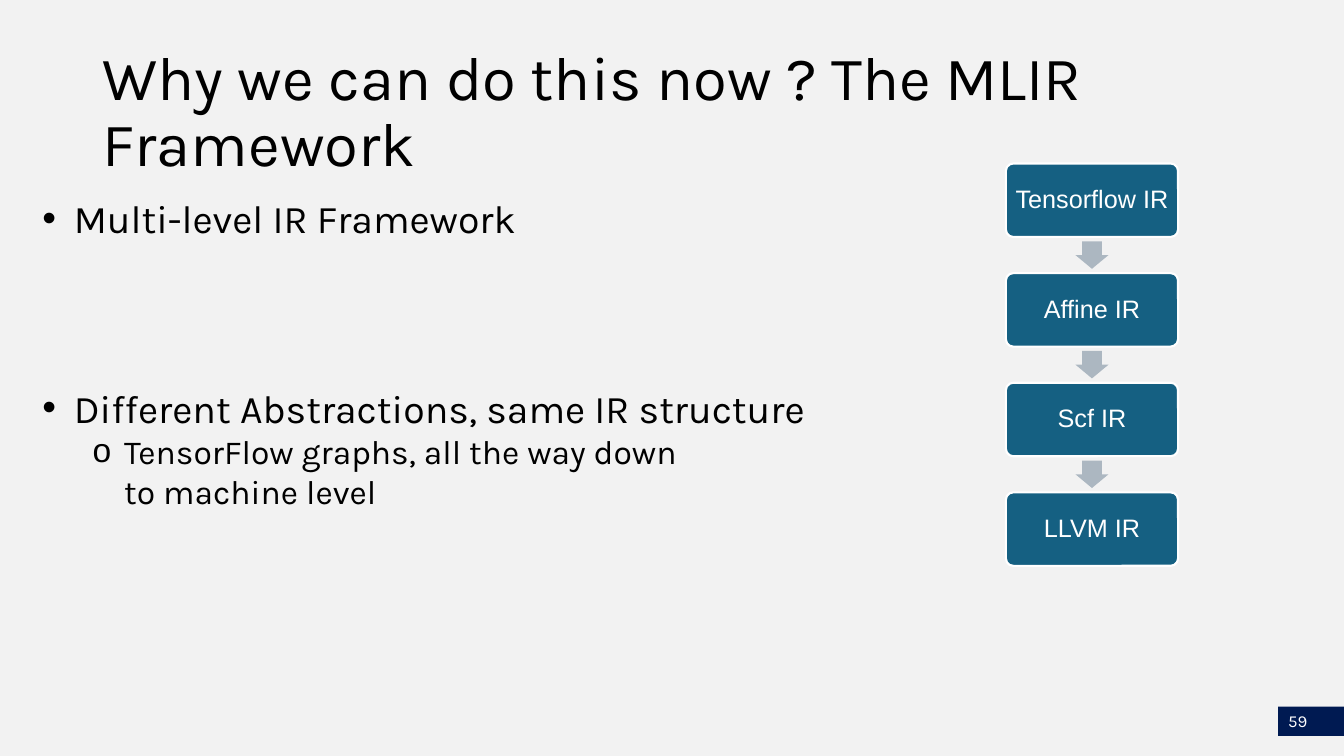
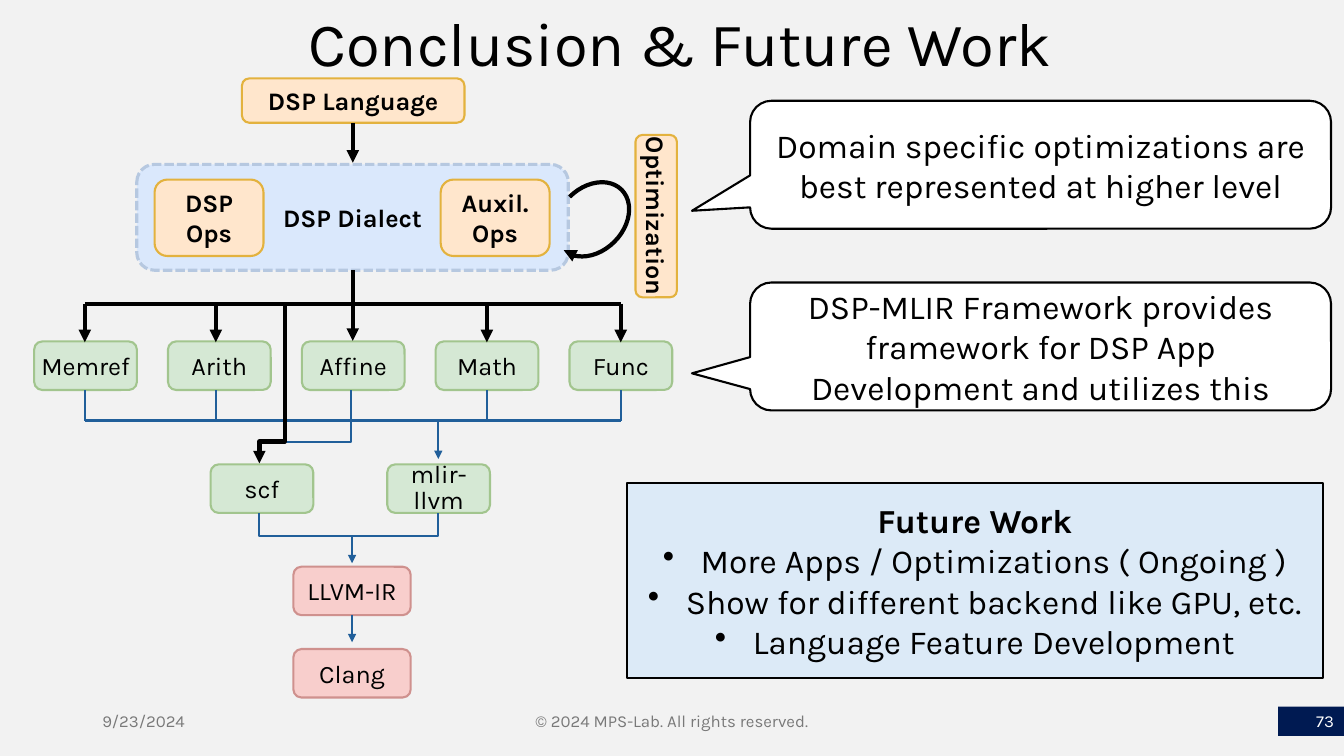
from lxml import etree
from pptx import Presentation
from pptx.dml.color import RGBColor
from pptx.enum.dml import MSO_LINE
from pptx.enum.shapes import MSO_CONNECTOR, MSO_SHAPE
from pptx.enum.text import MSO_ANCHOR, MSO_AUTO_SIZE, PP_ALIGN
from pptx.oxml.ns import qn
from pptx.util import Pt

LEFT, CENTER, RIGHT = PP_ALIGN.LEFT, PP_ALIGN.CENTER, PP_ALIGN.RIGHT
MIDDLE = MSO_ANCHOR.MIDDLE
RECTANGLE, ROUNDED = MSO_SHAPE.RECTANGLE, MSO_SHAPE.ROUNDED_RECTANGLE
CALLOUT, DOWN_ARROW, ARC = (MSO_SHAPE.ROUNDED_RECTANGULAR_CALLOUT,
                            MSO_SHAPE.DOWN_ARROW, MSO_SHAPE.ARC)
DASHED = MSO_LINE.SQUARE_DOT
STRAIGHT = MSO_CONNECTOR.STRAIGHT

FONT, NODE_FONT = "Karla", "Arial"
BLACK, WHITE, GREY = "000000", "FFFFFF", "797979"
BACKGROUND, NAVY = "F2F2F2", "001A52"
TEAL, ARROW_GREY = "156082", "ACB7C1"
BLUE, PALE_BLUE = "215F9A", "DCEAF7"
ORANGE_BOX = ("FFE6CC", "E3B23E")
GREEN_BOX = ("D5E8D4", "A2C58E")
RED_BOX = ("F8CECC", "CF918E")
DIALECT_BOX = ("DAE8FC", "B6C8E0")
CALLOUT_BOX = (WHITE, BLACK)


def color(hex_text):
    return RGBColor.from_string(hex_text)


def format_paragraph(para, size, hex_text=BLACK, align=LEFT, bold=False,
                     font=FONT, spacing=1.0, before=0):
    para.alignment = align
    para.line_spacing = spacing
    para.space_before = Pt(before)
    para.space_after = Pt(0)
    for span in para.runs:
        span.font.name = font
        span.font.size = Pt(size)
        span.font.bold = bold
        span.font.color.rgb = color(hex_text)


def add_bullet(para, mark, margin, hanging):
    properties = para._p.get_or_add_pPr()
    properties.set("marL", str(Pt(margin)))
    properties.set("indent", str(-Pt(hanging)))
    etree.SubElement(properties, qn("a:buChar")).set("char", mark)


def write(shape, text, size, inset=7.2, wrap=True, **style):
    """Fill a shape with text, anchored in the middle, in one style."""
    frame = shape.text_frame
    frame.text = text
    frame.word_wrap = wrap
    frame.vertical_anchor = MIDDLE
    frame.margin_left = frame.margin_right = Pt(inset)
    for para in frame.paragraphs:
        format_paragraph(para, size, **style)


def place(shape, left, top, width, height):
    shape.left, shape.top = Pt(left), Pt(top)
    shape.width, shape.height = Pt(width), Pt(height)


def add_box(page, kind, area, fill=None, line=None, weight=1.5, adjust=()):
    shape = page.shapes.add_shape(kind, *map(Pt, area))
    shape.shadow.inherit = False
    for index, value in enumerate(adjust):
        shape.adjustments[index] = value
    if fill:
        shape.fill.solid()
        shape.fill.fore_color.rgb = color(fill)
    else:
        shape.fill.background()
    if line:
        shape.line.color.rgb = color(line)
        shape.line.width = Pt(weight)
    else:
        shape.line.fill.background()
    return shape


def add_label(page, colors, area, text, **style):
    shape = add_box(page, ROUNDED, area, *colors)
    write(shape, text, 18, align=CENTER, **style)
    return shape


def add_arrowhead(shape):
    outline = shape.element.spPr.find(qn("a:ln"))
    etree.SubElement(outline, qn("a:tailEnd")).set("type", "triangle")


def add_path(page, points, hex_text, weight, arrow=False):
    """Draw a straight connector, or an open outline for more points."""
    points = [(Pt(x), Pt(y)) for x, y in points]
    if len(points) == 2:
        shape = page.shapes.add_connector(STRAIGHT, *points[0], *points[1])
    else:
        builder = page.shapes.build_freeform(*points[0])
        builder.add_line_segments(points[1:], close=False)
        shape = builder.convert_to_shape()
        shape.fill.background()
    shape.line.color.rgb = color(hex_text)
    shape.line.width = Pt(weight)
    if arrow:
        add_arrowhead(shape)
    etree.SubElement(shape.element.spPr, qn("a:effectLst"))


def add_thick(page, *points, arrow=True):
    add_path(page, points, BLACK, 3, arrow)


def add_thin(page, *points, arrow=False):
    add_path(page, points, BLUE, 1.5, arrow)


def add_page(deck, layout, title, area, align):
    page = deck.slides.add_slide(deck.slide_layouts[layout])
    heading = page.shapes.title
    place(heading, *area)
    write(heading, title, 44, align=align, spacing=0.9)
    heading.text_frame.auto_size = MSO_AUTO_SIZE.NONE
    return page


def add_page_number(page, number, align):
    band = add_box(page, RECTANGLE, (913, 504.7, 47, 20.9), NAVY)
    write(band, number, 12, hex_text=WHITE, align=align)


def add_footer(page, area, text, align):
    box = page.shapes.add_textbox(*map(Pt, area))
    write(box, text, 12, hex_text=GREY, align=align)


def add_bullets(page):
    body = page.placeholders[1]
    place(body, 23, 135.4, 598, 269)
    frame = body.text_frame
    frame.auto_size = MSO_AUTO_SIZE.NONE
    frame.vertical_anchor = MSO_ANCHOR.TOP
    items = (("Multi-level IR Framework", 0, "•", 28, 22.5, 0),
             ("Different Abstractions, same IR structure", 0, "•", 28, 22.5, 101.5),
             ("TensorFlow graphs, all the way down\vto machine level",
              1, "o", 24, 58.5, 0))
    frame.text = "\n".join(item[0] for item in items)
    for para, (_, level, mark, size, margin, before) in zip(frame.paragraphs, items):
        para.level = level
        add_bullet(para, mark, margin, 22.5)
        format_paragraph(para, size, before=before)


def add_ir_chain(page):
    left, top, width, height, step = 718.5, 116.8, 123, 52.5, 78.3
    arrow_width, arrow_height = 23.6, 19.6
    names = ("Tensorflow IR", "Affine IR", "Scf IR", "LLVM IR")
    for index, name in enumerate(names):
        node_top = top + index * step
        node = add_box(page, ROUNDED, (left, node_top, width, height),
                       TEAL, WHITE, adjust=(0.1,))
        write(node, name, 18, inset=2, hex_text=WHITE, align=CENTER,
              font=NODE_FONT, spacing=0.9)
        if index:
            arrow_top = node_top - (step - height + arrow_height) / 2
            arrow_left = left + (width - arrow_width) / 2
            add_box(page, DOWN_ARROW,
                    (arrow_left, arrow_top, arrow_width, arrow_height),
                    ARROW_GREY, adjust=(0.6, 0.5))


def add_flow_boxes(page):
    add_label(page, ORANGE_BOX, (172.8, 56, 159, 31.7), "DSP Language", bold=True)
    dialect = add_label(page, DIALECT_BOX, (97.7, 117.4, 308.2, 75.6),
                        "DSP Dialect", bold=True)
    dialect.line.width = Pt(2.25)
    dialect.line.dash_style = DASHED
    for left, text in ((110.4, "DSP\vOps"), (314.8, "Auxil.\vOps")):
        add_label(page, ORANGE_BOX, (left, 128.3, 77.8, 54.6), text, bold=True)

    for index, text in enumerate(("Memref", "Arith", "Affine", "Math", "Func")):
        add_label(page, GREEN_BOX, (24.4 + 95.6 * index, 243.9, 73.4, 34.7),
                  text, inset=0)
    for left, text, spacing in ((150.4, "scf", 1.0), (276.6, "mlir-llvm", 0.87)):
        add_label(page, GREEN_BOX, (left, 331.7, 73.4, 34.7), text,
                  inset=0, spacing=spacing)
    for top, text in ((404.8, "LLVM-IR"), (463.6, "Clang")):
        add_label(page, RED_BOX, (209.6, top, 83.8, 34.6), text)

    optimization = add_label(page, ORANGE_BOX, (410.7, 139.6, 116, 29.6),
                             "Optimization", bold=True, wrap=False)
    optimization.rotation = 90


def add_flow_lines(page):
    middle, bus, collector, bend = 252, 216.9, 300.4, 315.4
    row_top, row_bottom = 244.5, 278.7
    scf_x, llvm_x, bracket = 185.3, 313.1, 382.6
    outer_drops = (60.6, 154.2, 347.8, 443.4)
    first, last = outer_drops[0], outer_drops[-1]

    add_thin(page, (251, row_bottom), (251, bend), (201, bend))
    add_thin(page, (first, collector), (last, collector))
    add_thick(page, (first, bus), (last, bus), arrow=False)
    for x in outer_drops:
        add_thick(page, (x, bus), (x, row_top))
        add_thin(page, (x, row_bottom), (x, collector))
    add_thick(page, (middle, 87.8), (middle, 116.2))
    add_thick(page, (middle, 193), (middle, row_top - 1))
    add_thick(page, (203.3, bus), (203.3, bend), (scf_x, bend), (scf_x, 331))

    add_thin(page, (llvm_x, collector), (llvm_x, 327.8), arrow=True)
    add_thin(page, (scf_x, 366.6), (scf_x, bracket),
             (llvm_x, bracket), (llvm_x, 366.6))
    for start, end in ((bracket, 402.3), (439.3, 458.8)):
        add_thin(page, (251.5, start), (251.5, end), arrow=True)

    loop = add_box(page, ARC, (393, 134, 59.8, 45.3), line=BLACK, weight=3,
                   adjust=(162, 106.47))
    loop.rotation = 315
    add_arrowhead(loop)


def add_callout(page, top, pointer, text):
    shape = add_box(page, CALLOUT, (535.8, top, 415, 91.4), *CALLOUT_BOX,
                    adjust=(*pointer, 0.167))
    write(shape, text, 24, align=CENTER)


def add_future_work(page):
    panel = add_box(page, RECTANGLE, (447.8, 345, 497, 139.4), PALE_BLUE, BLACK)
    lines = ("Future Work",
             "More Apps / Optimizations ( Ongoing )",
             "Show for different backend like GPU, etc.",
             "Language Feature Development")
    write(panel, "\n".join(lines), 24, align=CENTER)
    heading, *bullets = panel.text_frame.paragraphs
    heading.runs[0].font.bold = True
    for para in bullets:
        add_bullet(para, "•", 27, 27)


def build_framework_page(deck):
    page = add_page(deck, 1, "Why we can do this now ? The MLIR Framework",
                    (66, 28.8, 828, 104.4), LEFT)
    add_page_number(page, "59", LEFT)
    add_bullets(page)
    add_ir_chain(page)


def build_conclusion_page(deck):
    page = add_page(deck, 5, "Conclusion & Future Work", (72, 0, 828, 66), CENTER)
    add_footer(page, (66, 500.5, 216, 28.8), "9/23/2024", LEFT)
    add_footer(page, (318, 500.5, 324, 28.8),
               "© 2024 MPS-Lab. All rights reserved.", CENTER)
    add_page_number(page, "73", RIGHT)
    add_flow_boxes(page)
    add_flow_lines(page)
    add_callout(page, 72, (-0.6, 0.36),
                "Domain specific optimizations are best represented at higher level")
    add_callout(page, 201.8, (-0.6, 0.21),
                "DSP-MLIR Framework provides framework for DSP App "
                "Development and utilizes this")
    add_future_work(page)


def main():
    deck = Presentation()
    deck.slide_width, deck.slide_height = Pt(960), Pt(540)
    backdrop = deck.slide_master.background.fill
    backdrop.solid()
    backdrop.fore_color.rgb = color(BACKGROUND)
    build_framework_page(deck)
    build_conclusion_page(deck)
    deck.save("out.pptx")


if __name__ == "__main__":
    main()
